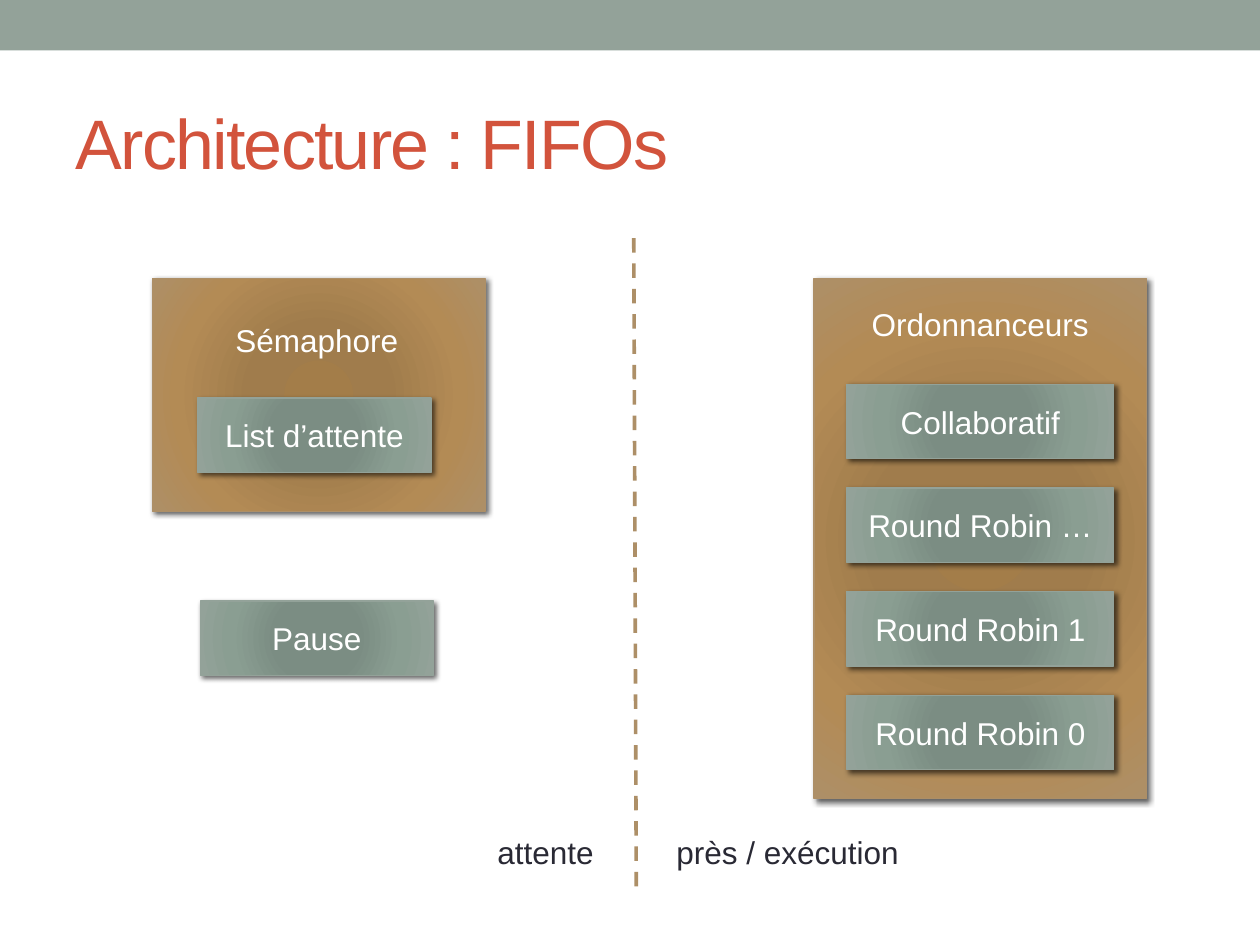
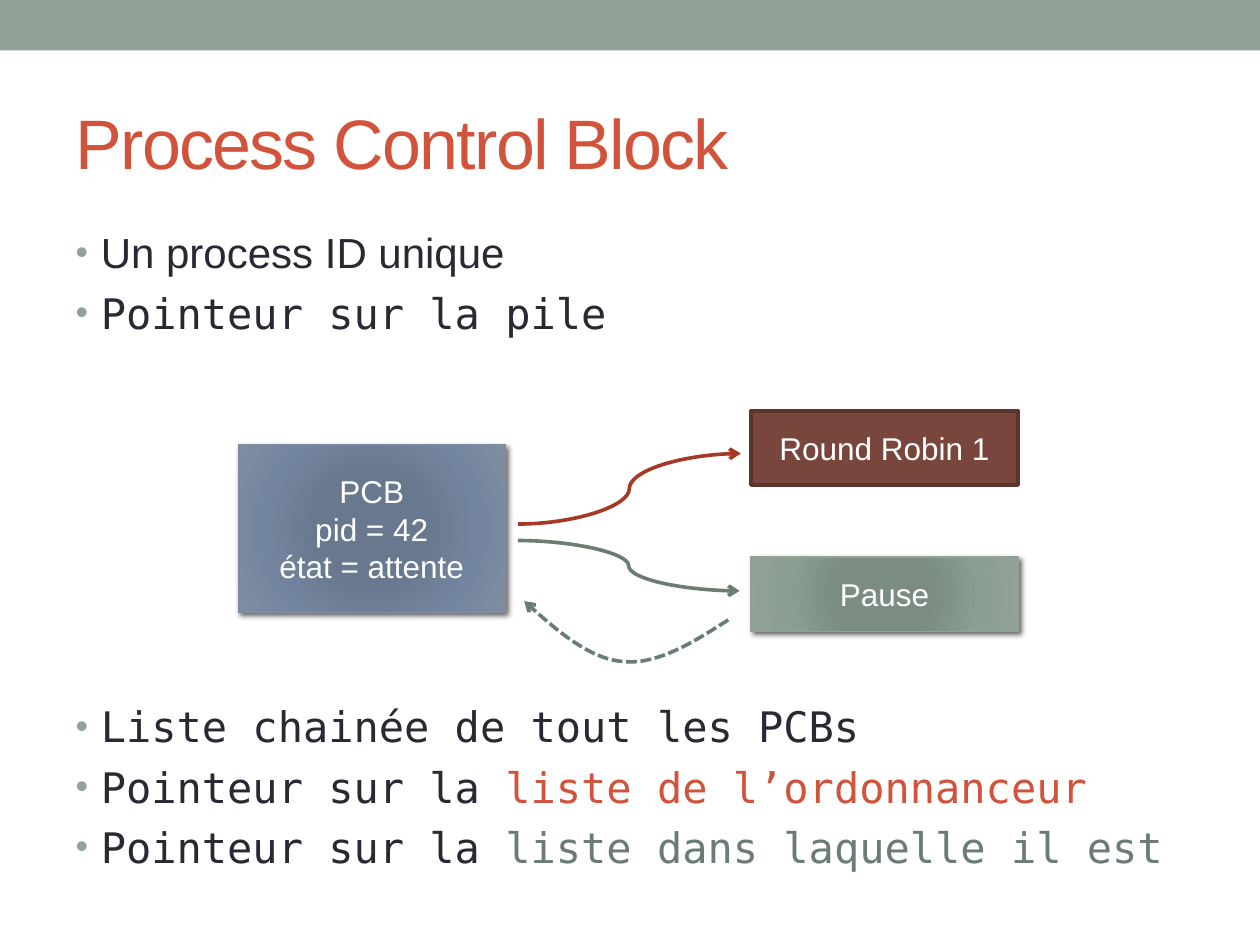
"""Build two slides on process queues and the process control block."""
import dataclasses
import typing

import lxml.etree
import pptx
import pptx.dml.color
import pptx.enum.dml
import pptx.enum.shapes
import pptx.enum.text
import pptx.oxml.ns
import pptx.util

COLUMNS, ROWS = 100, 75
CELL = pptx.util.Inches(0.1)
ALIGN = pptx.enum.text.PP_ALIGN
DASH = pptx.enum.dml.MSO_LINE
CONNECTOR = pptx.enum.shapes.MSO_CONNECTOR
RECTANGLE = pptx.enum.shapes.MSO_SHAPE.RECTANGLE
AUTO_SIZE = pptx.enum.text.MSO_AUTO_SIZE
MIDDLE = pptx.enum.text.MSO_ANCHOR.MIDDLE


class Gradient(typing.NamedTuple):
    """Colours of a radial fill, from centre to edge."""
    centre: str
    inner: str
    outer: str
    edge: str


@dataclasses.dataclass(frozen=True)
class Theme:
    """Colours, fonts and type sizes of the deck."""
    font: str = "Arial"
    mono: str = "DejaVu Sans Mono"
    title_size: float = 40
    body_size: float = 24
    label_size: float = 18
    thin: float = 0.75
    thick: float = 2.08
    title: str = "D2533C"
    text: str = "292934"
    white: str = "FFFFFF"
    sage: str = "93A299"
    dark_sage: str = "6B7D72"
    tan: str = "AD8F67"
    red: str = "A53926"
    brick: str = "79463D"
    brick_edge: str = "5A342D"
    container: Gradient = Gradient("A37D49", "A07C4C", "B38B55", "AD8F67")
    queue: Gradient = Gradient("7B8E82", "7B8D83", "8A9E92", "93A299")
    process: Gradient = Gradient("677790", "68788E", "74869F", "808DA0")


THEME = Theme()


class Area(typing.NamedTuple):
    """A rectangle in grid columns and rows."""
    left: float
    top: float
    width: float
    height: float


class Block(typing.NamedTuple):
    """A filled rectangle with an optional text."""
    area: Area
    fill: Gradient | str
    text: str = ""


class Label(typing.NamedTuple):
    """A free text on one line."""
    area: Area
    text: str
    align: ALIGN
    color: str


class Link(typing.NamedTuple):
    """A connector between two grid points."""
    kind: CONNECTOR
    start: tuple[float, float]
    end: tuple[float, float]
    color: str
    dash: DASH | None = None
    arrow: bool = False


class Run(typing.NamedTuple):
    """A piece of a list item."""
    text: str
    color: str = THEME.text
    font: str = THEME.mono


class Item(typing.NamedTuple):
    """A list item with its space before in points."""
    runs: list[Run]
    space: float = 5.7


def cells(*values: float) -> list[int]:
    """Turn grid values into lengths."""
    return [round(value * CELL) for value in values]


def rgb(color: str) -> pptx.dml.color.RGBColor:
    """Turn a hexadecimal text into a colour."""
    return pptx.dml.color.RGBColor.from_string(color)


def apply(target: typing.Any, formats: dict[str, typing.Any]) -> None:
    """Set each format value on the target."""
    for name, value in formats.items():
        setattr(target, name, value)


def add_node(parent: typing.Any, tag: str, **attributes: str) -> typing.Any:
    """Append a drawing element to its parent."""
    return lxml.etree.SubElement(parent, pptx.oxml.ns.qn(tag), attributes)


def find_node(parent: typing.Any, tag: str) -> typing.Any:
    """Find the first descendant with a tag."""
    return parent.find(".//" + pptx.oxml.ns.qn(tag))


def style_font(font: typing.Any, size: float, color: str, name: str = THEME.font) -> None:
    """Set the face, size and colour of a font."""
    apply(font, {"name": name, "size": pptx.util.Pt(size)})
    font.color.rgb = rgb(color)


def style_line(shape: typing.Any, color: str, width: float,
               dash: DASH | None = None, arrow: bool = False) -> None:
    """Set the outline, dash and arrowhead of a shape."""
    shape.line.color.rgb = rgb(color)
    apply(shape.line, {"width": pptx.util.Pt(width), "dash_style": dash})
    if arrow:
        add_node(find_node(shape.element, "a:ln"), "a:tailEnd", type="arrow")


def fill_gradient(shape: typing.Any, gradient: Gradient) -> None:
    """Give a shape a radial fill."""
    shape.fill.gradient()
    node = find_node(shape.element, "a:gradFill")
    for child in list(node):
        node.remove(child)
    stops = add_node(node, "a:gsLst")
    for position, color in zip((0, 34, 70, 100), gradient):
        stop = add_node(stops, "a:gs", pos=str(position * 1000))
        add_node(stop, "a:srgbClr", val=color)
    circle = add_node(node, "a:path", path="circle")
    add_node(circle, "a:fillToRect", **dict.fromkeys("ltrb", "100000"))


def add_shadow(shape: typing.Any) -> None:
    """Give a shape a soft shadow to the lower right."""
    shadow = add_node(find_node(shape.element, "a:effectLst"), "a:outerShdw",
                      blurRad=str(pptx.util.Pt(3)), dist=str(pptx.util.Pt(2)),
                      dir=str(45 * 60000), algn="tl", rotWithShape="0")
    add_node(add_node(shadow, "a:srgbClr", val="000000"), "a:alpha", val="60000")


def write_text(shape: typing.Any, text: str, align: ALIGN, color: str) -> None:
    """Write label text into a shape."""
    shape.text_frame.text = text
    for paragraph in shape.text_frame.paragraphs:
        paragraph.alignment = align
        style_font(paragraph.runs[0].font, THEME.label_size, color)


def add_block(slide: typing.Any, block: Block) -> None:
    """Draw a block with a gradient and shadow, or a plain one."""
    shape = slide.shapes.add_shape(RECTANGLE, *cells(*block.area))
    shape.shadow.inherit = False
    if isinstance(block.fill, Gradient):
        fill_gradient(shape, block.fill)
        style_line(shape, block.fill.edge, THEME.thin)
        add_shadow(shape)
    else:
        shape.fill.solid()
        shape.fill.fore_color.rgb = rgb(block.fill)
        style_line(shape, THEME.brick_edge, THEME.thick)
    if block.text:
        apply(shape.text_frame, {"word_wrap": True, "vertical_anchor": MIDDLE})
        write_text(shape, block.text, ALIGN.CENTER, THEME.white)


def add_label(slide: typing.Any, label: Label) -> None:
    """Draw a text that does not wrap."""
    shape = slide.shapes.add_textbox(*cells(*label.area))
    apply(shape.text_frame, {"word_wrap": False, "auto_size": AUTO_SIZE.SHAPE_TO_FIT_TEXT})
    write_text(shape, label.text, label.align, label.color)


def add_link(slide: typing.Any, link: Link) -> None:
    """Draw a connector."""
    shape = slide.shapes.add_connector(link.kind, *cells(*link.start, *link.end))
    style_line(shape, link.color, THEME.thick, link.dash, link.arrow)
    add_node(shape.element.spPr, "a:effectLst")


def add_curve(slide: typing.Any, points: list[tuple[float, float]], color: str) -> None:
    """Draw a dashed arrow along cubic curves."""
    start, *controls = [cells(*point) for point in points]
    builder = slide.shapes.build_freeform(*start)
    builder.add_line_segments(controls, close=False)
    shape = builder.convert_to_shape()
    outline = find_node(shape.element, "a:path")
    segments = outline.findall(pptx.oxml.ns.qn("a:lnTo"))
    for first in range(0, len(segments), 3):
        curve = add_node(outline, "a:cubicBezTo")
        for segment in segments[first:first + 3]:
            curve.append(segment[0])
            outline.remove(segment)
    shape.fill.background()
    shape.shadow.inherit = False
    style_line(shape, color, THEME.thick, DASH.SQUARE_DOT, True)


def place(shape: typing.Any, area: Area) -> None:
    """Move a placeholder to an area."""
    apply(shape, dict(zip(area._fields, cells(*area))))
    apply(shape.text_frame, {"word_wrap": True, "auto_size": AUTO_SIZE.NONE})


def add_slide(presentation: typing.Any, layout: int, title: str) -> typing.Any:
    """Add a slide with the shared title style."""
    slide = presentation.slides.add_slide(presentation.slide_layouts[layout])
    shape = slide.shapes.title
    place(shape, Area(5, 5.8, 90, 10.8))
    shape.text_frame.text = title
    shape.text_frame.vertical_anchor = MIDDLE
    paragraph = shape.text_frame.paragraphs[0]
    paragraph.alignment = ALIGN.LEFT
    style_font(paragraph.runs[0].font, THEME.title_size, THEME.title)
    find_node(shape.element, "a:rPr").set("spc", "-100")
    return slide


def add_list(slide: typing.Any, items: list[Item]) -> None:
    """Fill the body placeholder with bulleted items."""
    body = slide.placeholders[1]
    place(body, Area(5, 17.5, 90, 53.3))
    indent = cells(2)[0]
    for index, item in enumerate(items):
        frame = body.text_frame
        paragraph = frame.add_paragraph() if index else frame.paragraphs[0]
        paragraph.space_before = pptx.util.Pt(item.space)
        properties = find_node(paragraph._p, "a:pPr")
        apply(properties, {"marL": indent, "indent": -indent})
        for name, value in {"marL": indent, "indent": -indent}.items():
            properties.set(name, str(value))
        add_node(add_node(properties, "a:buClr"), "a:srgbClr", val=THEME.sage)
        add_node(properties, "a:buSzPct", val="85000")
        add_node(properties, "a:buFont", typeface=THEME.font)
        add_node(properties, "a:buChar", char="•")
        for piece in item.runs:
            run = paragraph.add_run()
            run.text = piece.text
            style_font(run.font, THEME.body_size, piece.color, piece.font)


def add_master_band(presentation: typing.Any, slide: typing.Any) -> None:
    """Put the top band on the slide master."""
    band = slide.shapes.add_shape(RECTANGLE, *cells(0, 0, COLUMNS, 4))
    band.shadow.inherit = False
    band.fill.solid()
    band.fill.fore_color.rgb = rgb(THEME.sage)
    band.line.fill.background()
    presentation.slide_master.shapes.element.insert(2, band.element)


def build_queues(presentation: typing.Any) -> None:
    """Build the slide on waiting and ready queues."""
    slide = add_slide(presentation, 5, "Architecture : FIFOs")
    add_master_band(presentation, slide)
    schedulers = ["Collaboratif", "Round Robin …", "Round Robin 1", "Round Robin 0"]
    blocks = [Block(Area(12.1, 22.1, 26.4, 18.5), THEME.container),
              Block(Area(64.6, 22.1, 26.4, 41.3), THEME.container),
              Block(Area(15.7, 31.6, 18.5, 5.9), THEME.queue, "List d’attente"),
              Block(Area(15.9, 47.7, 18.5, 5.9), THEME.queue, "Pause")]
    blocks += [Block(Area(67.2, 30.5 + 8.23 * row, 21.2, 5.9), THEME.queue, name)
               for row, name in enumerate(schedulers)]
    for block in blocks:
        add_block(slide, block)
    for label in (Label(Area(68.1, 23.7, 19.4, 4), "Ordonnanceurs", ALIGN.CENTER, THEME.white),
                  Label(Area(17.6, 25, 15.1, 4), "Sémaphore", ALIGN.CENTER, THEME.white),
                  Label(Area(38.4, 65.6, 9.7, 4), "attente", ALIGN.RIGHT, THEME.text),
                  Label(Area(52.7, 65.6, 19.8, 4), "près / exécution", ALIGN.LEFT, THEME.text)):
        add_label(slide, label)
    add_link(slide, Link(CONNECTOR.STRAIGHT, (50.3, 18.9), (50.5, 70.8), THEME.tan, DASH.DASH))


def build_control_block(presentation: typing.Any) -> None:
    """Build the slide on the process control block."""
    slide = add_slide(presentation, 1, "Process Control Block")
    pointer = Run("Pointeur sur la ")
    add_list(slide, [Item([Run("Un process ID unique", font=THEME.font)]),
                     Item([Run("Pointeur sur la pile")]),
                     Item([Run("Liste chainée de tout les PCBs")], 207.5),
                     Item([pointer, Run("liste de l’ordonnanceur", THEME.title)]),
                     Item([pointer, Run("liste dans laquelle il est", THEME.dark_sage)])])
    for block in (Block(Area(59.6, 32.6, 21.2, 5.9), THEME.brick, "Round Robin 1"),
                  Block(Area(59.6, 44.2, 21.2, 5.9), THEME.queue, "Pause"),
                  Block(Area(18.9, 35.3, 21.2, 13.3), THEME.process,
                        "PCB\npid = 42\nétat = attente")):
        add_block(slide, block)
    for start, end, color in (((41.1, 41.6), (58.8, 36), THEME.red),
                              ((41.1, 42.9), (58.7, 46.9), THEME.dark_sage)):
        add_link(slide, Link(CONNECTOR.CURVE, start, end, color, arrow=True))
    add_curve(slide, [(57.8, 49.2), (55, 51), (52.1, 52.8), (49.4, 52.5),
                      (46.7, 52.3), (42.8, 48.8), (41.6, 47.7)], THEME.dark_sage)


def main() -> None:
    """Build and save the presentation."""
    presentation = pptx.Presentation()
    apply(presentation, {"slide_width": COLUMNS * CELL, "slide_height": ROWS * CELL})
    build_queues(presentation)
    build_control_block(presentation)
    presentation.save("out.pptx")


if __name__ == "__main__":
    main()
